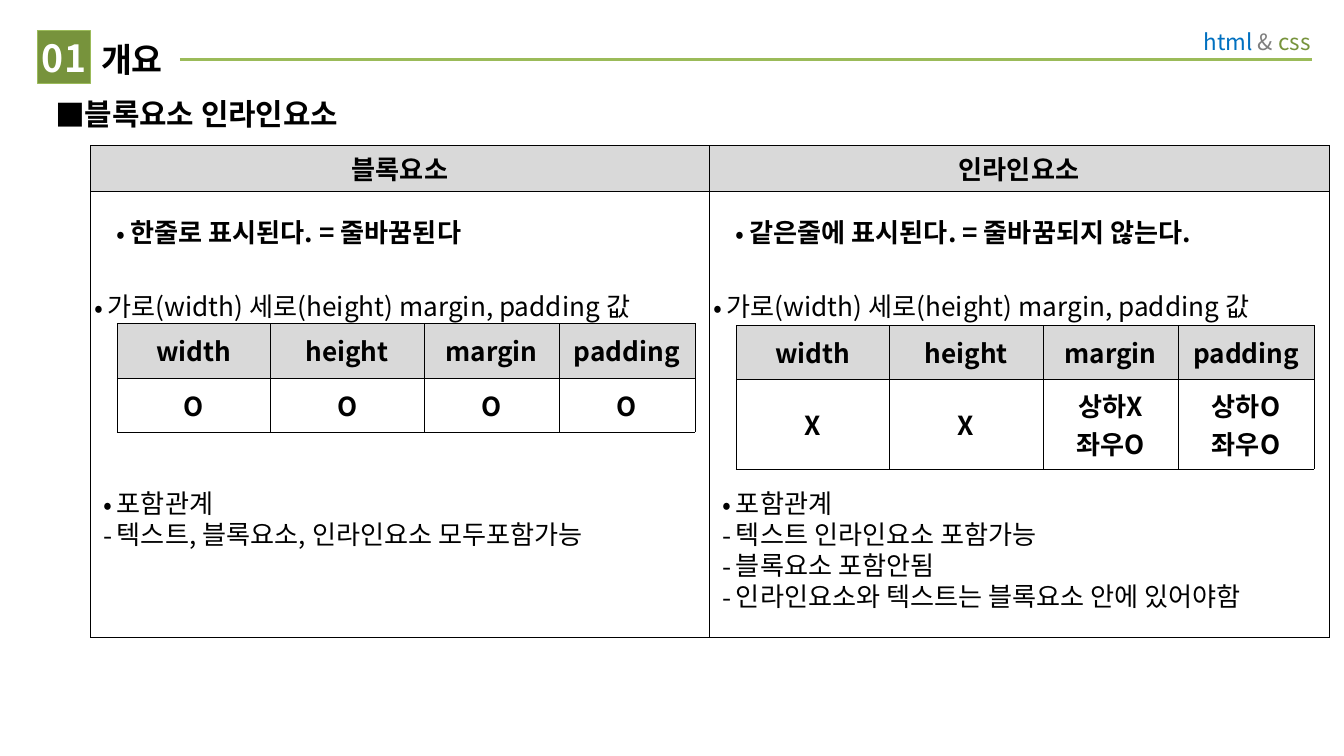
from dataclasses import dataclass

from lxml.etree import SubElement
from pptx import Presentation
from pptx.dml.color import RGBColor
from pptx.enum.shapes import MSO_CONNECTOR
from pptx.enum.text import MSO_ANCHOR, MSO_AUTO_SIZE, PP_ALIGN
from pptx.oxml.ns import qn
from pptx.util import Cm, Pt


@dataclass(frozen=True)
class Theme:
    font: str = "Noto Sans CJK KR"
    ink: str = "000000"
    paper: str = "FFFFFF"
    header: str = "D9D9D9"
    green: str = "77933C"
    rule: str = "9BBB59"
    blue: str = "0070C0"
    gray: str = "7F7F7F"
    number_size: int = 20
    title_size: int = 18
    heading_size: int = 16
    text_size: int = 14
    tag_size: int = 12
    line_pitch: float = 16.7
    lead_pitch: float = 25


THEME = Theme()
COLUMN_LEFT = 1.71
COLUMN_WIDTH = 11.7
PROPERTIES = ("width", "height", "margin", "padding")
SIZE_NOTE = "가로(width) 세로(height) margin, padding 값"


def color(value):
    return RGBColor.from_string(value)


def paint(fill, value):
    fill.solid()
    fill.fore_color.rgb = color(value)


def add_run(paragraph, text, size, ink=THEME.ink, bold=False):
    run = paragraph.add_run()
    run.text = text
    run.font.size = Pt(size)
    run.font.bold = bold
    run.font.name = THEME.font
    run.font.color.rgb = color(ink)
    SubElement(run.font._element, qn("a:ea")).set("typeface", THEME.font)


def set_bullet(paragraph, mark=None, indent=0.0):
    properties = paragraph._p.get_or_add_pPr()
    properties.set("marL", str(Cm(indent)))
    properties.set("indent", str(-Cm(indent)))
    if mark is None:
        SubElement(properties, qn("a:buNone"))
        return
    tint = SubElement(properties, qn("a:buClr"))
    SubElement(tint, qn("a:srgbClr")).set("val", THEME.ink)
    SubElement(properties, qn("a:buFont")).set("typeface", THEME.font)
    SubElement(properties, qn("a:buChar")).set("char", mark)


def set_frame(frame, insets, anchor=MSO_ANCHOR.TOP):
    frame.word_wrap = True
    frame.auto_size = MSO_AUTO_SIZE.NONE
    frame.vertical_anchor = anchor
    (frame.margin_left, frame.margin_top,
     frame.margin_right, frame.margin_bottom) = map(Cm, insets)


def place(shape, left, top, width, height):
    shape.left, shape.top, shape.width, shape.height = map(
        Cm, (left, top, width, height))


def fill_placeholder(shape, box, text, size, insets, ink=THEME.ink,
                     align=PP_ALIGN.LEFT, anchor=MSO_ANCHOR.TOP,
                     pitch=None, mark=None, indent=0.0):
    place(shape, *box)
    set_frame(shape.text_frame, insets, anchor)
    paragraph = shape.text_frame.paragraphs[0]
    paragraph.alignment = align
    paragraph.space_before = Pt(0)
    if pitch:
        paragraph.line_spacing = Pt(pitch)
    set_bullet(paragraph, mark, indent)
    add_run(paragraph, text, size, ink, True)


def add_tag(slide):
    tag = slide.shapes.add_textbox(Cm(21.11), Cm(0.28), Cm(3.91), Cm(0.91))
    set_frame(tag.text_frame, (0.25, 0.2, 0.25, 0.2))
    paragraph = tag.text_frame.paragraphs[0]
    paragraph.alignment = PP_ALIGN.RIGHT
    paragraph.line_spacing = Pt(15.7)
    for text, ink in (("html ", THEME.blue), ("& ", THEME.gray),
                      ("css", THEME.green)):
        add_run(paragraph, text, THEME.tag_size, ink)


def add_rule(slide):
    rule = slide.shapes.add_connector(
        MSO_CONNECTOR.STRAIGHT, Cm(3.4), Cm(1.12), Cm(24.79), Cm(1.12))
    rule.line.color.rgb = color(THEME.rule)
    rule.line.width = Pt(1.5)
    SubElement(rule._element.spPr, qn("a:effectLst"))


def set_borders(cell):
    properties = cell._tc.get_or_add_tcPr()
    for position, side in enumerate(("lnL", "lnR", "lnT", "lnB")):
        border = SubElement(properties, qn(f"a:{side}"), w=str(Pt(0.11)))
        fill = SubElement(border, qn("a:solidFill"))
        SubElement(fill, qn("a:srgbClr")).set("val", THEME.ink)
        properties.remove(border)
        properties.insert(position, border)


def add_grid(slide, left, top, widths, heights, rows, padding=0.13):
    grid = slide.shapes.add_table(
        len(heights), len(widths), Cm(left), Cm(top),
        Cm(sum(widths)), Cm(sum(heights))).table
    for column, width in zip(grid.columns, widths):
        column.width = Cm(width)
    for row, height in zip(grid.rows, heights):
        row.height = Cm(height)
    for r, labels in enumerate(rows):
        for c, label in enumerate(labels):
            cell = grid.cell(r, c)
            cell.vertical_anchor = MSO_ANCHOR.MIDDLE
            cell.margin_top = cell.margin_bottom = Cm(padding)
            if r == 0:
                paint(cell.fill, THEME.header)
            else:
                cell.fill.background()
            set_borders(cell)
            for i, line in enumerate(label.split("\n") if label else ()):
                frame = cell.text_frame
                paragraph = frame.add_paragraph() if i else frame.paragraphs[0]
                paragraph.alignment = PP_ALIGN.CENTER
                add_run(paragraph, line, THEME.text_size, bold=True)


def add_notes(slide, box, lines, bold=False, lead=THEME.line_pitch):
    notes = slide.shapes.add_textbox(*map(Cm, box))
    set_frame(notes.text_frame, (0.25, 0.13, 0.25, 0.13))
    for i, line in enumerate(lines):
        frame = notes.text_frame
        paragraph = frame.add_paragraph() if i else frame.paragraphs[0]
        paragraph.line_spacing = Pt(THEME.line_pitch if i else lead)
        set_bullet(paragraph, "-" if i else "•", 0.25)
        add_run(paragraph, line, THEME.text_size, bold=bold)


def add_element_column(slide, index, display, display_width, values,
                       grid_top, heights, contents):
    left = COLUMN_LEFT + index * COLUMN_WIDTH
    add_grid(slide, left + 0.5, grid_top, (2.9, 2.9, 2.56, 2.56), heights,
             (PROPERTIES, values))
    add_notes(slide, (left + 0.25, 3.97, display_width, 0.86), (display,), True)
    add_notes(slide, (left - 0.18, 5.37, 11.5, 0.86), (SIZE_NOTE,))
    add_notes(slide, (left, 8.79, 11.6, 2.9), contents, lead=THEME.lead_pitch)


def main():
    deck = Presentation()
    deck.slide_width, deck.slide_height = Cm(25.4), Cm(14.29)
    slide = deck.slides.add_slide(deck.slide_layouts[3])
    title, number, heading = slide.placeholders

    fill_placeholder(title, (1.71, 0.58, 1.68, 1), "개요", THEME.title_size,
                     (0.2, 0.1, 0, 0.1), pitch=23)
    paint(title.fill, THEME.paper)
    fill_placeholder(number, (0.71, 0.58, 1, 1), "01", THEME.number_size,
                     (0, 0, 0, 0), THEME.paper, PP_ALIGN.CENTER,
                     MSO_ANCHOR.MIDDLE)
    paint(number.fill, THEME.green)
    number.line.color.rgb = color(THEME.rule)
    number.line.width = Pt(0.25)
    fill_placeholder(heading, (0.79, 1.63, 24, 1.12), "블록요소 인라인요소",
                     THEME.heading_size, (0.25, 0.13, 0.25, 0.13),
                     pitch=20.5, mark="■", indent=0.5)
    add_rule(slide)
    add_tag(slide)

    add_grid(slide, COLUMN_LEFT, 2.75, (COLUMN_WIDTH,) * 2, (0.87, 8.43),
             (("블록요소", "인라인요소"), ("", "")), padding=0.05)
    add_element_column(
        slide, 0, "한줄로 표시된다. = 줄바꿈된다", 7.6,
        ("O",) * 4, 6.11, (1.03, 1.03),
        ("포함관계", "텍스트, 블록요소, 인라인요소 모두포함가능"))
    add_element_column(
        slide, 1, "같은줄에 표시된다. = 줄바꿈되지 않는다.", 9.0,
        ("X", "X", "상하X\n좌우O", "상하O\n좌우O"), 6.15, (1.02, 1.7),
        ("포함관계", "텍스트 인라인요소 포함가능", "블록요소 포함안됨",
         "인라인요소와 텍스트는 블록요소 안에 있어야함"))
    deck.save("out.pptx")


if __name__ == "__main__":
    main()
